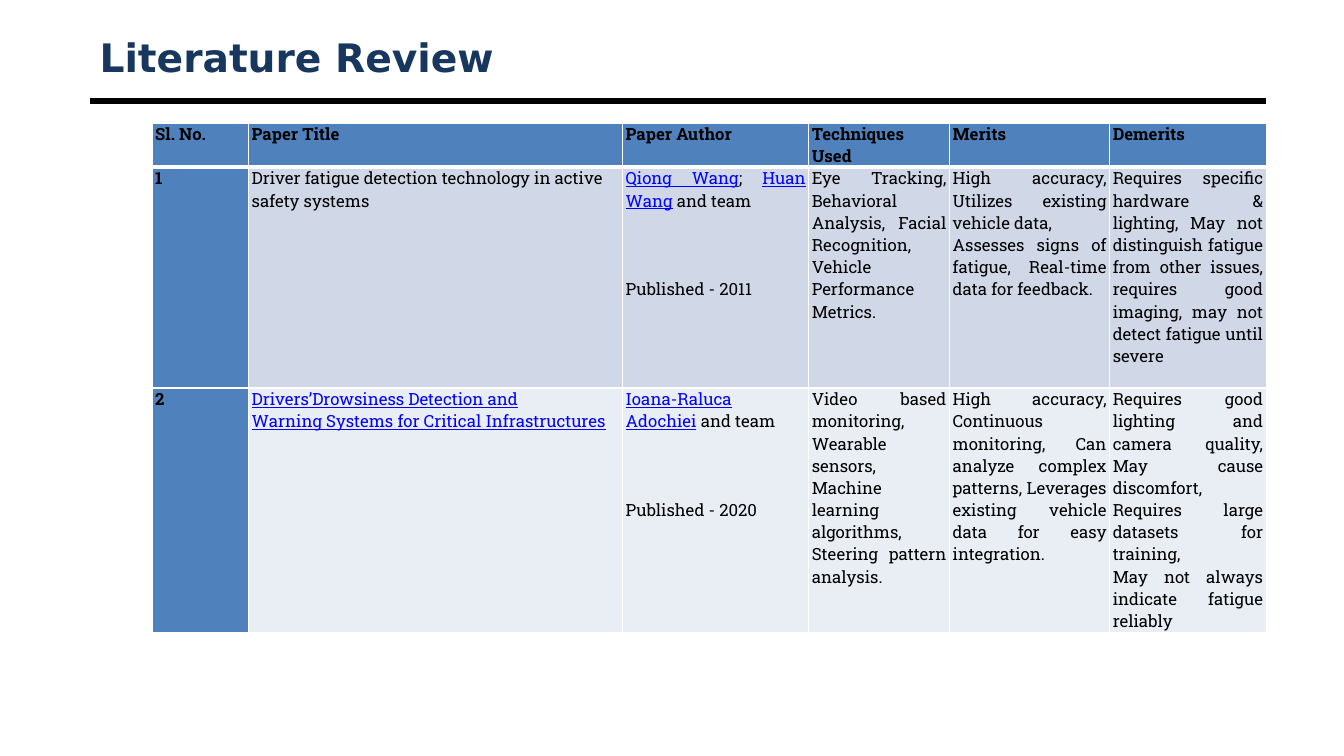
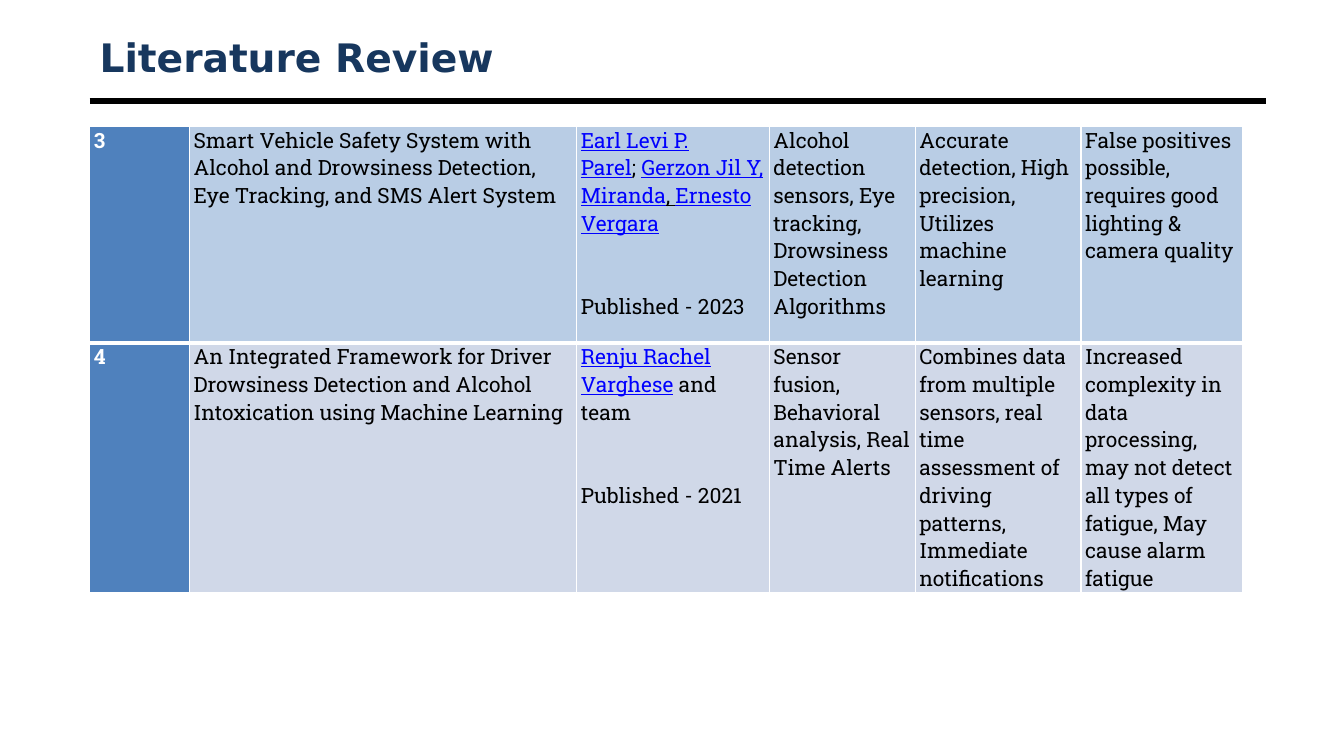
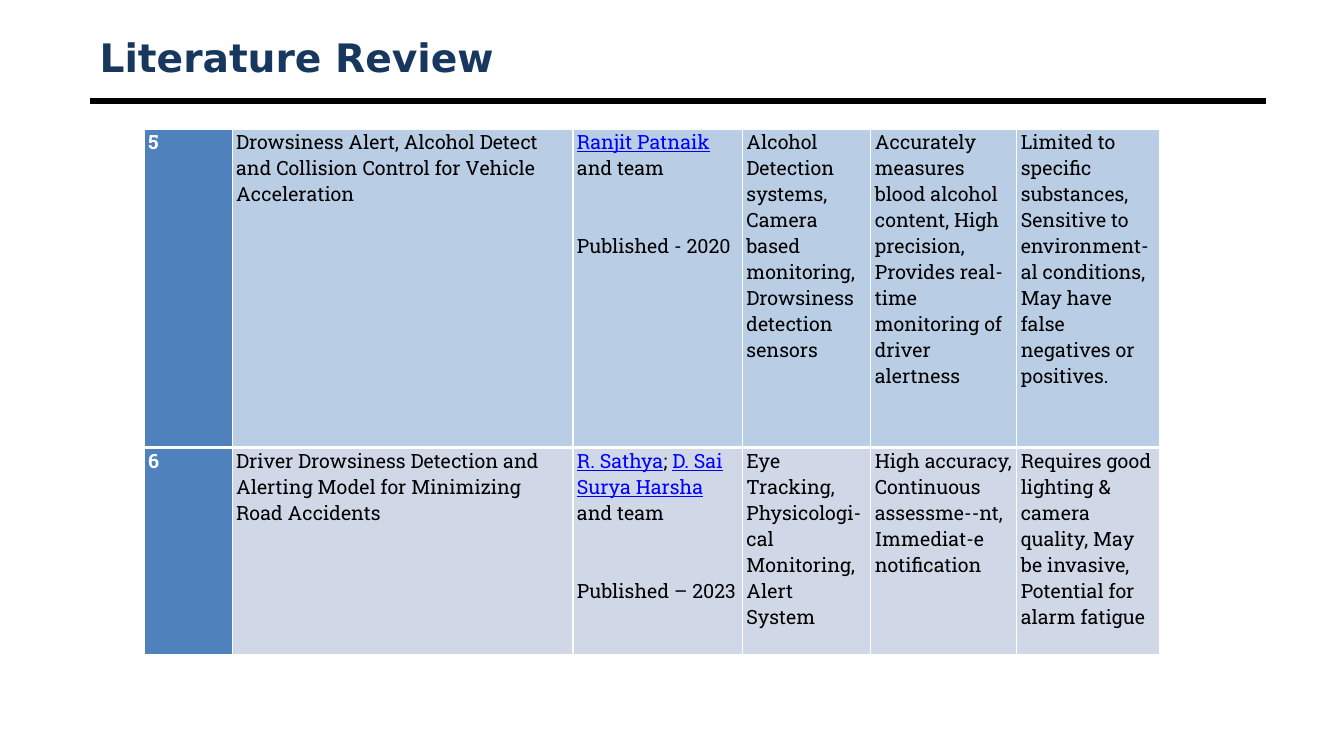
from pptx import Presentation
from pptx.dml.color import RGBColor
from pptx.enum.shapes import MSO_CONNECTOR
from pptx.enum.text import MSO_ANCHOR, PP_ALIGN
from pptx.oxml.ns import qn
from pptx.util import Inches, Pt
from lxml import etree

STRAIGHT = MSO_CONNECTOR.STRAIGHT
MIDDLE = MSO_ANCHOR.MIDDLE
LEFT, JUSTIFY = PP_ALIGN.LEFT, PP_ALIGN.JUSTIFY

# Shared look
NAVY = RGBColor(0x17, 0x37, 0x5E)
BLACK = RGBColor(0x00, 0x00, 0x00)
WHITE = RGBColor(0xFF, 0xFF, 0xFF)
BLUE = RGBColor(0x4F, 0x81, 0xBD)
SKY = RGBColor(0xB9, 0xCD, 0xE5)
MIST = RGBColor(0xD0, 0xD8, 0xE8)
PALE = RGBColor(0xE9, 0xED, 0xF4)
LINK = {"color": RGBColor(0x00, 0x00, 0xFF), "under": True}
UNDER = {"under": True}
HEAD_FONT, BODY_FONT = "DejaVu Sans", "Roboto Slab"
EDGE, SPAN = 0.89, 11.67
SHARES = [8.66, 33.57, 16.7, 12.65, 14.37, 14.05]  # column widths, percent
LEADING = 1.32  # line height of the body font
HARD = chr(160)  # space that does not break

# Table content: a cell is a list of paragraphs, a paragraph a list of runs
HEADS = ["Sl. No.", "Paper Title", "Paper Author", "Techniques Used",
         "Merits", "Demerits"]
FIRST = [
    ["1", "Driver fatigue detection technology in active safety systems",
     [[("Qiong Wang", LINK), "; ", ("Huan Wang", LINK), " and team"],
      ["Published - 2011"]],
     "Eye Tracking, Behavioral Analysis, Facial Recognition, Vehicle "
     "Performance Metrics.",
     [["High accuracy, Utilizes existing vehicle data,"],
      ["Assesses signs of fatigue, Real-time data for feedback."]],
     "Requires specific hardware & lighting, May not distinguish fatigue "
     "from other issues, requires good imaging, may not detect fatigue "
     "until severe"],
    ["2",
     [[("Drivers’Drowsiness Detection and "
        f"Warning{HARD}Systems{HARD}for Critical Infrastructures", LINK)]],
     [[("Ioana-Raluca Adochiei", LINK), " and team"], ["Published - 2020"]],
     "Video based monitoring, Wearable sensors, Machine learning "
     "algorithms, Steering pattern analysis.",
     "High accuracy, Continuous monitoring, Can analyze complex patterns, "
     "Leverages existing vehicle data for easy integration.",
     [["Requires good lighting and camera quality, May cause discomfort, "
       "Requires large datasets for training,"],
      ["May not always indicate fatigue reliably"]]],
]
SECOND = [
    ["3", "Smart Vehicle Safety System with Alcohol and Drowsiness "
     "Detection, Eye Tracking, and SMS Alert System",
     [[("Earl Levi P. Parel", LINK), ";" + HARD,
       ("Gerzon Jil Y, Miranda", LINK), (", ", UNDER),
       ("Ernesto Vergara", LINK)], ["Published - 2023"]],
     "Alcohol detection sensors, Eye tracking, Drowsiness Detection "
     "Algorithms",
     "Accurate detection, High precision, Utilizes machine learning",
     "False positives possible, requires good lighting & camera quality"],
    ["4", "An Integrated Framework for Driver Drowsiness Detection and "
     "Alcohol Intoxication using Machine Learning",
     [[("Renju Rachel Varghese", LINK), " and team"], ["Published - 2021"]],
     "Sensor fusion, Behavioral analysis, Real Time Alerts",
     "Combines data from multiple sensors, real time assessment of driving "
     "patterns, Immediate notifications",
     "Increased complexity in data processing, may not detect all types of "
     "fatigue, May cause alarm fatigue"],
]
THIRD = [
    ["5", "Drowsiness Alert, Alcohol Detect and Collision Control for "
     "Vehicle Acceleration",
     [[("Ranjit Patnaik", LINK), " and team"], ["Published - 2020"]],
     "Alcohol Detection systems, Camera based monitoring, Drowsiness "
     "detection sensors",
     "Accurately measures blood alcohol content, High precision, Provides "
     "real-time monitoring of driver alertness",
     "Limited to specific substances, Sensitive to environment-al "
     "conditions, May have false negatives or positives."],
    ["6", "Driver Drowsiness Detection and Alerting Model for Minimizing "
     "Road Accidents",
     [[("R. Sathya", LINK), ";" + HARD, ("D. Sai Surya Harsha", LINK),
       " and team"], ["Published – 2023"]],
     "Eye Tracking, Physicologi-cal Monitoring, Alert System",
     "High accuracy, Continuous assessme--nt, Immediat-e notification",
     "Requires good lighting & camera quality, May be invasive, Potential "
     "for alarm fatigue"],
]


def write(frame, text, size=12, font=BODY_FONT, color=BLACK, bold=False,
          align=LEFT, gap=0):
    """Fill a text frame; gap is the space in points between paragraphs."""
    paras = [[text]] if isinstance(text, str) else text
    for num, runs in enumerate(paras):
        para = frame.add_paragraph() if num else frame.paragraphs[0]
        para.alignment = align
        if num and gap:
            para.space_before = Pt(gap)
        for part in runs:
            words, extra = (part, {}) if isinstance(part, str) else part
            run = para.add_run()
            run.text = words
            face = run.font
            face.name, face.size, face.bold = font, Pt(size), bold
            face.color.rgb = extra.get("color", color)
            face.underline = extra.get("under", False)


def add_title(slide, text):
    # Heading
    box = slide.shapes.add_textbox(Inches(EDGE), Inches(0.3),
                                   Inches(SPAN), Inches(0.53))
    frame = box.text_frame
    frame.word_wrap = True
    frame.vertical_anchor = MIDDLE
    write(frame, text, size=28, font=HEAD_FONT, color=NAVY, bold=True)
    # Rule below it
    rule = slide.shapes.add_connector(STRAIGHT, Inches(EDGE), Inches(1),
                                      Inches(EDGE + SPAN), Inches(1))
    rule.line.color.rgb = BLACK
    rule.line.width = Pt(4.5)
    etree.SubElement(rule._element.spPr, qn("a:effectLst"))


def set_edges(cell, top, bottom):
    """Draw white cell borders, one point wide at the sides."""
    props = cell._tc.get_or_add_tcPr()
    for tag, width in (("L", 1), ("R", 1), ("T", top), ("B", bottom)):
        line = etree.SubElement(props, qn("a:ln" + tag), w=str(Pt(width)))
        fill = etree.SubElement(line, qn("a:solidFill"))
        etree.SubElement(fill, qn("a:srgbClr"), val=str(WHITE))


def add_grid(slide, rows, place, heights, fills, size, inset,
             align=LEFT, key=WHITE, blanks=2):
    left, top, width = place
    grid = slide.shapes.add_table(
        len(rows), len(SHARES), Inches(left), Inches(top), Inches(width),
        Inches(sum(heights))).table
    grid.first_row = grid.horz_banding = False
    for col, share in zip(grid.columns, SHARES):
        col.width = Inches(width * share / 100)
    for r, (row, high) in enumerate(zip(rows, heights)):
        grid.rows[r].height = Inches(high)
        for c, text in enumerate(row):
            cell = grid.cell(r, c)
            # A thick line parts the first row from the rest
            set_edges(cell, 3 if r == 1 else 1, 3 if r == 0 else 1)
            cell.fill.solid()
            cell.fill.fore_color.rgb = fills[r] if c else BLUE
            cell.margin_left = cell.margin_right = Inches(inset)
            cell.margin_top = cell.margin_bottom = 0
            write(cell.text_frame, text, size=size,
                  color=BLACK if c else key,
                  bold=c == 0 or row is HEADS,
                  align=LEFT if c == 1 else align,
                  gap=blanks * size * LEADING if c == 2 else 0)


def main():
    deck = Presentation()
    deck.slide_width, deck.slide_height = Inches(13.33), Inches(7.5)
    grids = [
        dict(rows=[HEADS] + FIRST, place=(1.51, 1.22, 11.05),
             heights=[0.44, 2.19, 2.43], fills=[BLUE, MIST, PALE], size=12,
             inset=0.03, align=JUSTIFY, key=BLACK, blanks=3),
        dict(rows=SECOND, place=(EDGE, 1.25, 11.44), heights=[2.15, 2.48],
             fills=[SKY, MIST], size=15, inset=0.04),
        dict(rows=THIRD, place=(1.43, 1.28, 10.07), heights=[3.16, 2.05],
             fills=[SKY, MIST], size=14, inset=0.04),
    ]
    for grid in grids:
        slide = deck.slides.add_slide(deck.slide_layouts[6])
        add_title(slide, "Literature Review")
        add_grid(slide, **grid)
    deck.save("out.pptx")


if __name__ == "__main__":
    main()
